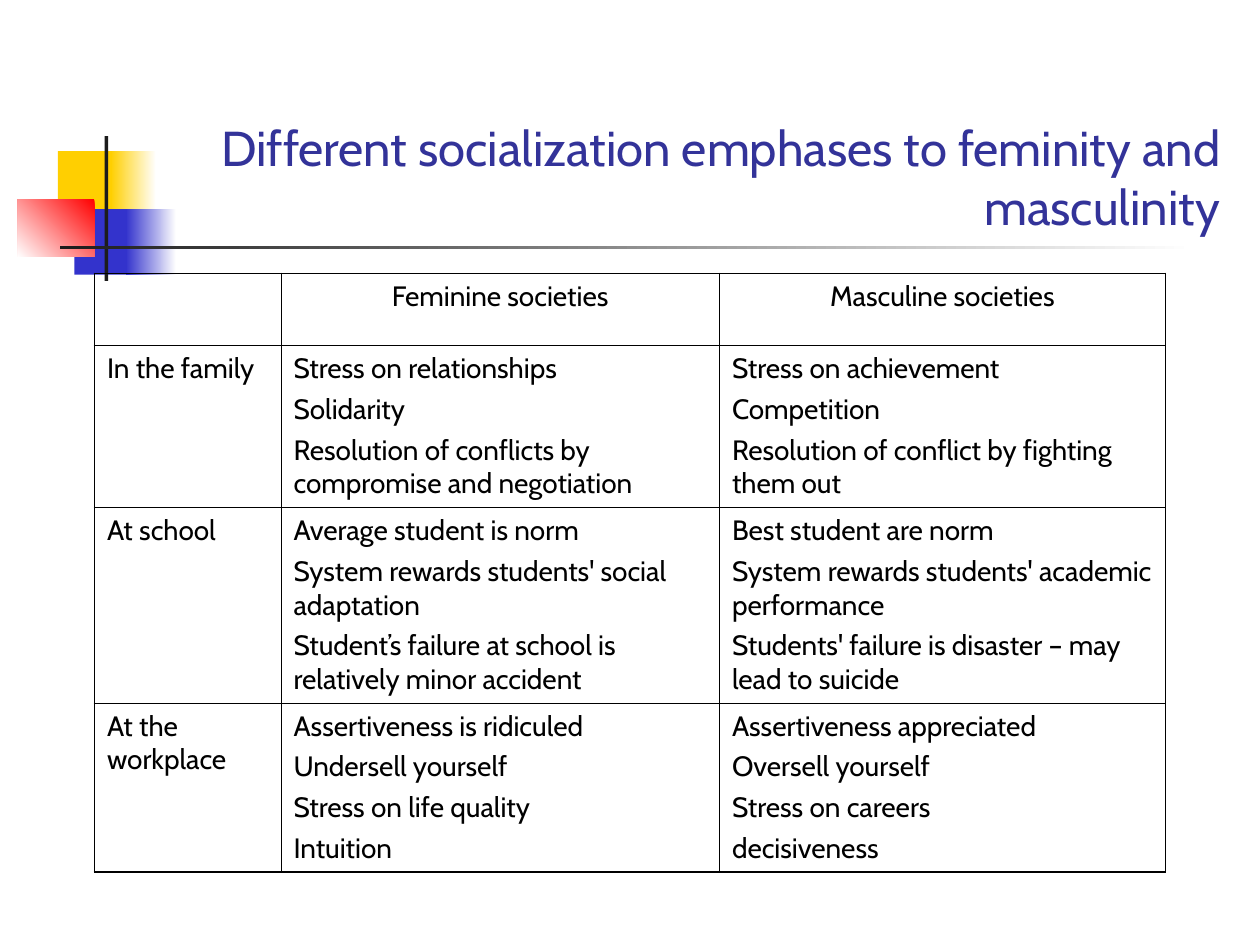
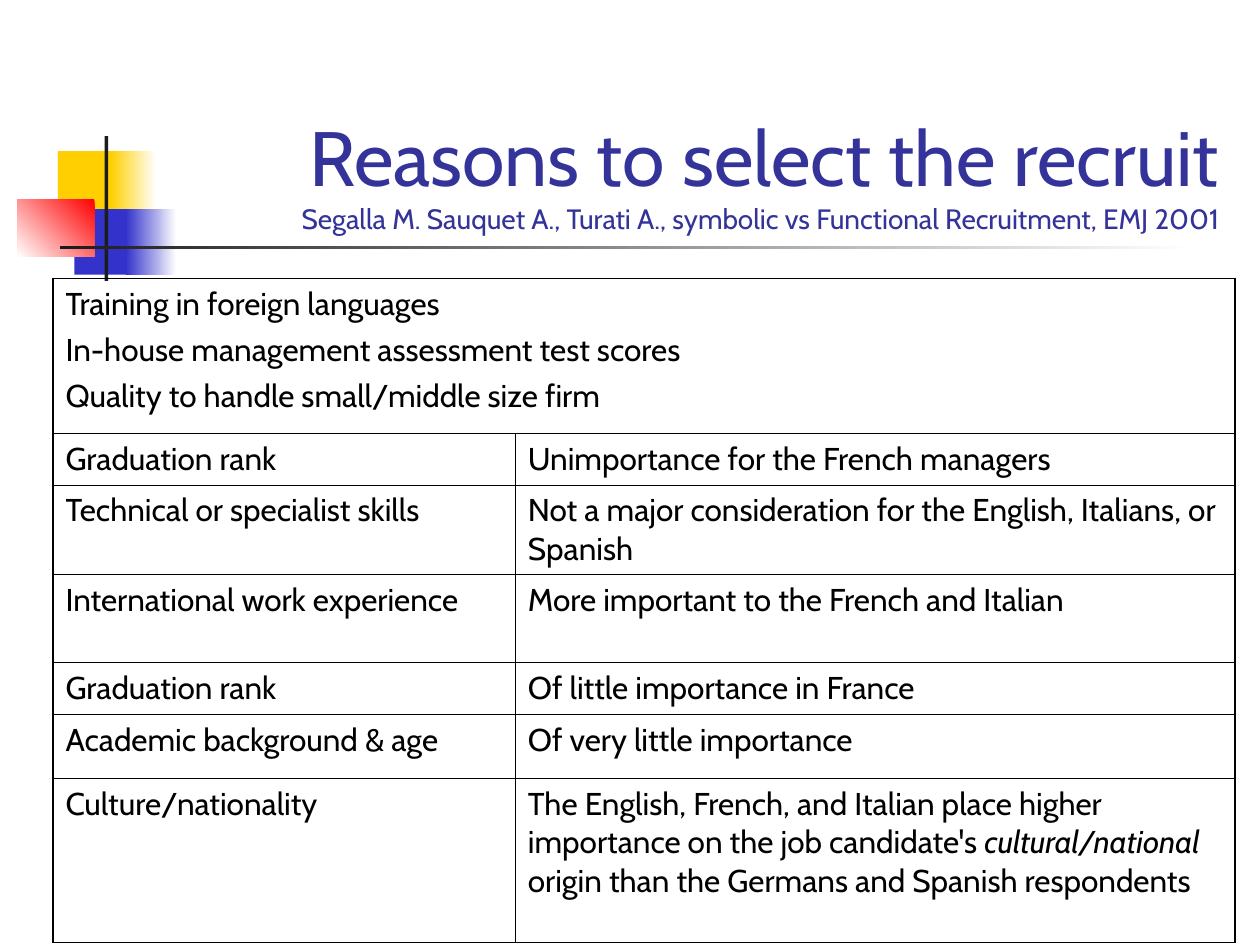
from lxml import etree
from pptx import Presentation
from pptx.dml.color import RGBColor
from pptx.enum.shapes import MSO_SHAPE
from pptx.enum.text import MSO_ANCHOR, MSO_AUTO_SIZE, PP_ALIGN
from pptx.oxml.ns import qn
from pptx.util import Pt

RECTANGLE = MSO_SHAPE.RECTANGLE
BOTTOM = MSO_ANCHOR.BOTTOM
NO_AUTOFIT = MSO_AUTO_SIZE.NONE
LEFT, CENTER, RIGHT = PP_ALIGN.LEFT, PP_ALIGN.CENTER, PP_ALIGN.RIGHT

PX = 9144
FONT = "Cabin"
WHITE, BLACK, NAVY = "FFFFFF", "000000", "333399"
YELLOW, BLUE, RED, CHARCOAL = "FFCF01", "3333CC", "FF0000", "1C1C1C"
OUTER_LINE, INNER_LINE = Pt(1.08), Pt(0.45)

DECORATIONS = [
    ((46, 120, 48, 52), [YELLOW], 0),
    ((88, 120, 36, 52), [WHITE, YELLOW], 180),
    ((59, 166, 46, 52), [BLUE], 0),
    ((100, 166, 40, 52), [WHITE, BLUE], 180),
    ((14, 158, 61, 46), [RED, WHITE], 225),
    ((83, 108, 3, 115), [CHARCOAL], 0),
    ((48, 195, 900, 3), [WHITE, CHARCOAL], 180),
]

SLIDES = [
    {
        "title": [("Different socialization emphases to feminity and masculinity", 28)],
        "position": (75, 217),
        "columns": [148, 348, 354],
        "rows": [57, 128, 155, 134],
        "size": 16,
        "space": 4,
        "centered_header": True,
        "cells": [
            ["", "Feminine societies", "Masculine societies"],
            [
                "In the family",
                "Stress on relationships\nSolidarity\n"
                "Resolution of conflicts by compromise and negotiation",
                "Stress on achievement\nCompetition\n"
                "Resolution of conflict by fighting them out",
            ],
            [
                "At school",
                "Average student is norm\nSystem rewards students' social adaptation\n"
                "Student’s failure at school is relatively minor accident",
                "Best student are norm\nSystem rewards students' academic performance\n"
                "Students' failure is disaster – may lead to suicide",
            ],
            [
                "At the workplace",
                "Assertiveness is ridiculed\nUndersell yourself\n"
                "Stress on life quality\nIntuition",
                "Assertiveness appreciated\nOversell yourself\n"
                "Stress on careers\ndecisiveness",
            ],
        ],
    },
    {
        "title": [
            ("Reasons to select the recruit", 44),
            ("Segalla M. Sauquet A., Turati A., symbolic vs Functional Recruitment, EMJ 2001", 16),
        ],
        "position": (42, 221),
        "columns": [367, 571],
        "rows": [123, 41, 70, 70, 41, 51, 130],
        "size": 18,
        "space": 4.5,
        "centered_header": False,
        "cells": [
            [
                "Training in foreign languages\nIn-house management assessment test scores\n"
                "Quality to handle small/middle size firm",
            ],
            ["Graduation rank", "Unimportance for the French managers"],
            [
                "Technical or specialist skills",
                "Not a major consideration for the English, Italians, or Spanish",
            ],
            ["International work experience", "More important to the French and Italian"],
            ["Graduation rank", "Of little importance in France"],
            ["Academic background & age", "Of very little importance"],
            [
                "Culture/nationality",
                "The English, French, and Italian place higher importance on the job "
                "candidate's *cultural/national* origin than the Germans and Spanish respondents",
            ],
        ],
    },
]


def color(hex_string):
    return RGBColor.from_string(hex_string)


def set_borders(cell, widths):
    properties = cell._tc.get_or_add_tcPr()
    for index, (side, width) in enumerate(zip("LRTB", widths)):
        line = etree.Element(qn(f"a:ln{side}"), w=str(width))
        fill = etree.SubElement(line, qn("a:solidFill"))
        etree.SubElement(fill, qn("a:srgbClr"), val=BLACK)
        properties.insert(index, line)


presentation = Presentation()
presentation.slide_width = 1000 * PX
presentation.slide_height = 750 * PX
title_only = presentation.slide_layouts[5]

for content in SLIDES:
    slide = presentation.slides.add_slide(title_only)
    slide.background.fill.solid()
    slide.background.fill.fore_color.rgb = color(WHITE)

    for box, colors, angle in DECORATIONS:
        shape = slide.shapes.add_shape(RECTANGLE, *[length * PX for length in box])
        shape.shadow.inherit = False
        shape.line.fill.background()
        if len(colors) == 1:
            shape.fill.solid()
            shape.fill.fore_color.rgb = color(colors[0])
        else:
            shape.fill.gradient()
            shape.fill.gradient_angle = angle
            for stop, stop_color in zip(shape.fill.gradient_stops, colors):
                stop.color.rgb = color(stop_color)

    title = slide.shapes.title
    slide.shapes.element.append(title.element)
    title.left, title.top, title.width, title.height = 126 * PX, 67 * PX, 852 * PX, 125 * PX
    title_frame = title.text_frame
    title_frame.text = "\v".join(text for text, size in content["title"])
    title_frame.vertical_anchor = BOTTOM
    title_frame.auto_size = NO_AUTOFIT
    title_frame.word_wrap = True
    title_paragraph = title_frame.paragraphs[0]
    title_paragraph.alignment = RIGHT
    for run, (text, size) in zip(title_paragraph.runs, content["title"]):
        run.font.name = FONT
        run.font.size = Pt(size)
        run.font.color.rgb = color(NAVY)

    columns, rows = content["columns"], content["rows"]
    left, top = content["position"]
    table = slide.shapes.add_table(
        len(rows), len(columns), left * PX, top * PX, sum(columns) * PX, sum(rows) * PX
    ).table
    table.first_row = False
    table.horz_banding = False
    for column, width in zip(table.columns, columns):
        column.width = width * PX
    for row, height in zip(table.rows, rows):
        row.height = height * PX

    for row_index, row_texts in enumerate(content["cells"]):
        if len(row_texts) < len(columns):
            table.cell(row_index, 0).merge(table.cell(row_index, len(columns) - 1))
        for column_index, text in enumerate(row_texts):
            cell = table.cell(row_index, column_index)
            cell.fill.background()
            edges = [
                column_index == 0,
                column_index == len(row_texts) - 1,
                row_index == 0,
                row_index == len(rows) - 1,
            ]
            set_borders(cell, [OUTER_LINE if edge else INNER_LINE for edge in edges])
            cell.text_frame.text = text
            for index, paragraph in enumerate(cell.text_frame.paragraphs):
                parts = paragraph.text.split("*")
                paragraph.text = parts[0]
                for part_index, part in enumerate(parts[1:]):
                    run = paragraph.add_run()
                    run.text = part
                    run.font.italic = part_index == 0
                header = content["centered_header"] and row_index == 0
                paragraph.alignment = CENTER if header else LEFT
                if index:
                    paragraph.space_before = Pt(content["space"])
                paragraph.font.size = Pt(content["size"])
                for run in paragraph.runs:
                    run.font.name = FONT
                    run.font.size = Pt(content["size"])
                    run.font.color.rgb = color(BLACK)

presentation.save("out.pptx")
